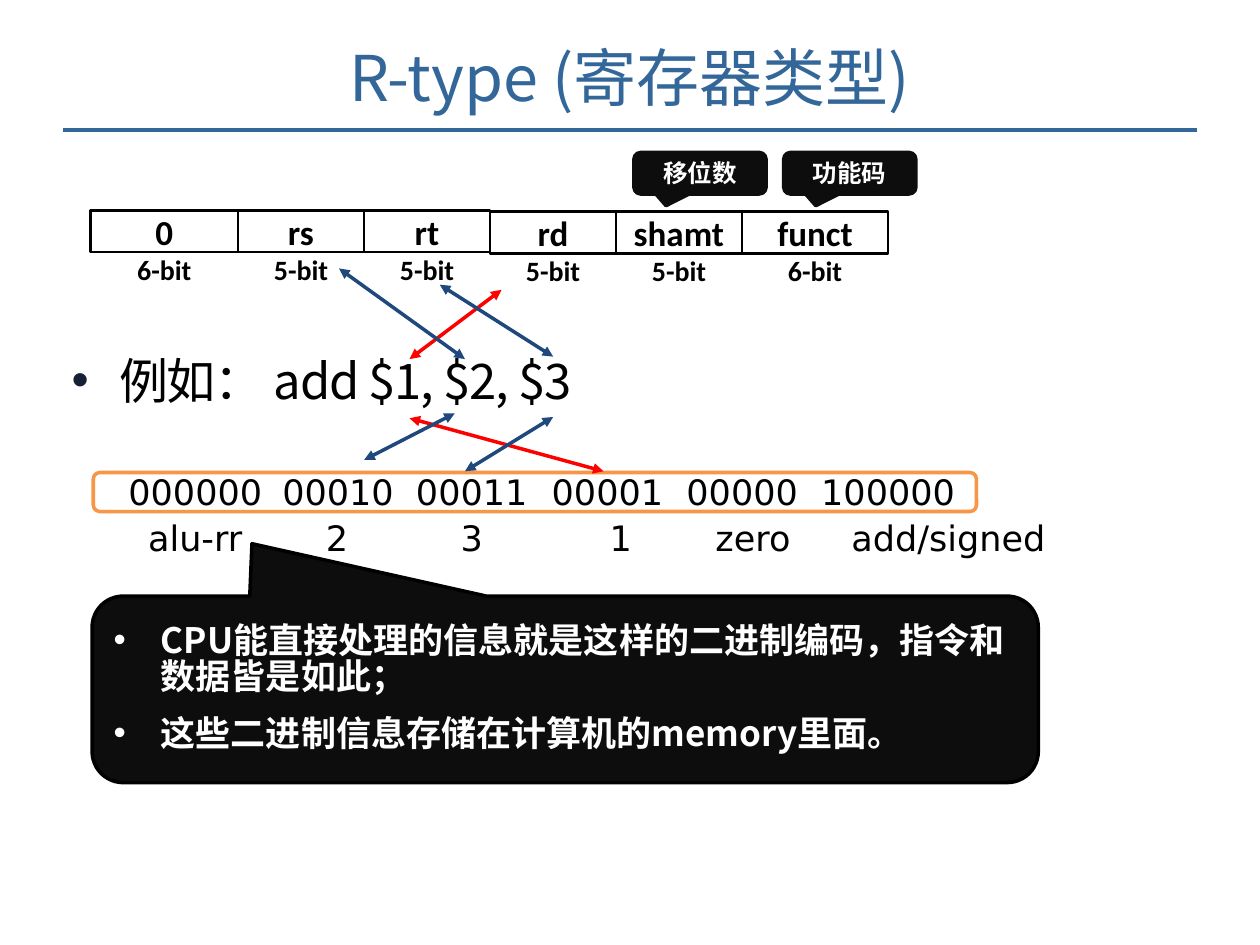
from itertools import accumulate

from lxml.etree import SubElement
from pptx import Presentation
from pptx.dml.color import RGBColor
from pptx.enum.shapes import MSO_CONNECTOR as Connector, MSO_SHAPE as Preset
from pptx.enum.text import MSO_ANCHOR as Anchor, MSO_AUTO_SIZE as AutoSize, PP_ALIGN as Align
from pptx.oxml.ns import qn
from pptx.util import Pt

CJK = "Noto Sans CJK SC"
BLUE, NAVY, RED, BLACK, WHITE = "336699", "1F497D", "FF0000", "000000", "FFFFFF"
DARK, ORANGE, BULLET = "0D0D0D", "F79646", "151F36"


def paint(target, color):
    if hasattr(target, "solid"):
        target.solid()
        target = target.fore_color
    target.rgb = RGBColor.from_string(color)


def apply(target, formats):
    for name, value in formats.items():
        setattr(target, name, value)


def margins(left, top, right, bottom):
    sides = zip(("left", "top", "right", "bottom"), (left, top, right, bottom))
    return {f"margin_{side}": Pt(size) for side, size in sides}


def place(box, left, top, width, height):
    apply(box, {"left": Pt(left), "top": Pt(top), "width": Pt(width), "height": Pt(height)})


def write(para, text, size, color, font=CJK, bold=False, spacing=None, **formats):
    apply(para, formats)
    span = para.add_run()
    span.text = text
    apply(span.font, {"size": Pt(size), "bold": bold, "name": font})
    paint(span.font.color, color)
    props = span._r.get_or_add_rPr()
    SubElement(props, qn("a:ea")).set("typeface", font)
    if spacing:
        props.set("spc", str(spacing))


def add_bullet(para, color, indent):
    props = para._p.get_or_add_pPr()
    props.set("marL", str(Pt(indent)))
    props.set("indent", str(-Pt(indent)))
    tint = SubElement(props, qn("a:buClr"))
    SubElement(tint, qn("a:srgbClr")).set("val", color)
    SubElement(props, qn("a:buFont")).set("typeface", "Arial")
    SubElement(props, qn("a:buChar")).set("char", "•")


def add_box(page, preset, bounds, line, width, fill=None, adjustments=()):
    box = page.shapes.add_shape(preset, *map(Pt, bounds))
    box.shadow.inherit = False
    if fill:
        paint(box.fill, fill)
    else:
        box.fill.background()
    paint(box.line.color, line)
    box.line.width = Pt(width)
    for index, value in enumerate(adjustments):
        box.adjustments[index] = value
    return box


def add_line(page, start, end, color, arrows=True):
    line = page.shapes.add_connector(Connector.STRAIGHT, *map(Pt, start + end))
    paint(line.line.color, color)
    line.line.width = Pt(2)
    if arrows:
        stroke = line.line._get_or_add_ln()
        for tag in ("a:headEnd", "a:tailEnd"):
            SubElement(stroke, qn(tag)).set("type", "triangle")
    SubElement(line._element.spPr, qn("a:effectLst"))


def add_field(page, left, top, width, name, bits):
    box = add_box(page, Preset.RECTANGLE, (left, top, width, 23.8), BLACK, 1.5, WHITE)
    frame = box.text_frame
    apply(frame, {"word_wrap": False, "vertical_anchor": Anchor.TOP, **margins(7.2, 0, 7.2, 3.6)})
    write(frame.paragraphs[0], name, 20, BLACK, "Calibri", True, alignment=Align.CENTER)
    write(frame.add_paragraph(), f"{bits}-bit", 16, BLACK, "Calibri", True, alignment=Align.CENTER)


def add_label(page, left, text):
    box = add_box(page, Preset.ROUNDED_RECTANGULAR_CALLOUT, (left, 87.1, 75.6, 23.8),
                  DARK, 2, DARK, (-0.257, 0.779, 0.167))
    write(box.text_frame.paragraphs[0], text, 14, WHITE, bold=True, alignment=Align.CENTER)


def add_encoding(page, widths, rows):
    frame = page.shapes.add_table(len(rows), len(widths), *map(Pt, (69.1, 270, sum(widths), 50.4)))
    table = frame.table
    apply(table, {"first_row": False, "horz_banding": False})
    for column, width in zip(table.columns, widths):
        column.width = Pt(width)
    for row, (inset, entries) in enumerate(rows):
        table.rows[row].height = Pt(25.2)
        for column, (text, indent) in enumerate(entries):
            cell = table.cell(row, column)
            cell.fill.background()
            apply(cell, margins(indent or 0, inset, 0, 0))
            align = Align.CENTER if indent is None else Align.LEFT
            write(cell.text_frame.paragraphs[0], text, 20, BLACK, "DejaVu Sans", alignment=align)


def add_note(page, lines):
    box = add_box(page, Preset.ROUNDED_RECTANGULAR_CALLOUT, (52.6, 340.6, 540.7, 106.6),
                  BLACK, 2, DARK, (-0.331, -0.781, 0.167))
    frame = box.text_frame
    frame.word_wrap = True
    for index, text in enumerate(lines):
        para = frame.add_paragraph() if index else frame.paragraphs[0]
        add_bullet(para, WHITE, 27)
        write(para, text, 20, WHITE, bold=True, alignment=Align.LEFT, line_spacing=0.85,
              space_before=Pt(6 if index else 0), space_after=Pt(6))


def fill_placeholders(page):
    title, body = page.placeholders
    place(title, 0, 16.6, 720, 54)
    apply(title.text_frame, {"vertical_anchor": Anchor.MIDDLE, **margins(0, 0, 0, 0)})
    write(title.text_frame.paragraphs[0], "R-type (寄存器类型)", 36, BLUE, alignment=Align.CENTER)
    place(body, 41, 205.2, 642.2, 33.8)
    apply(body.text_frame, {"auto_size": AutoSize.SHAPE_TO_FIT_TEXT, **margins(0, 0, 0, 0)})
    para = body.text_frame.paragraphs[0]
    add_bullet(para, BULLET, 27)
    write(para, "例如： add $1, $2, $3", 28, BLACK, spacing=-60, line_spacing=0.85,
          space_before=Pt(0), space_after=Pt(6))


def main():
    deck = Presentation()
    apply(deck, {"slide_width": Pt(720), "slide_height": Pt(540)})
    page = deck.slides.add_slide(deck.slide_layouts[1])
    fill_placeholders(page)
    add_line(page, (36, 74.2), (684, 74.2), BLUE, arrows=False)

    codes = [("000000", None), ("00010", 7.2), ("00011", None),
             ("00001", 7.2), ("00000", 7.2), ("100000", 7.2)]
    meanings = [("alu-rr", None), ("2", None), ("3", 5),
                ("1", 40.3), ("zero", 23.8), ("add/signed", 24.5)]
    meanings[2] = ("3", None)
    add_encoding(page, [85, 77, 77, 77, 77, 136.8], [(0, codes), (1.4, meanings)])
    add_box(page, Preset.ROUNDED_RECTANGLE, (53.3, 270, 504.7, 22.3), ORANGE, 2)
    add_note(page, ["CPU能直接处理的信息就是这样的二进制编码，指令和数据皆是如此；",
                    "这些二进制信息存储在计算机的memory里面。"])

    names = ["0", "rs", "rt", "rd", "shamt", "funct"]
    widths = [84.2, 72, 72, 72, 72, 83.5]
    lefts = accumulate(widths, initial=51.8)
    for index, (name, left, width) in enumerate(zip(names, lefts, widths)):
        top = 120.2 if index < 3 else 121
        add_field(page, left, top, width, name, 6 if index in (0, 5) else 5)

    for start, end, color in [
        ((234, 205.2), (286.6, 165.6), RED),
        ((344.9, 269.3), (234, 239), RED),
        ((193.7, 153.4), (265.7, 205.2), NAVY),
        ((251.3, 162.7), (316.1, 203.8), NAVY),
        ((259.9, 236.2), (208.1, 262.8), NAVY),
        ((316.1, 238.3), (265.7, 269.3), NAVY),
    ]:
        add_line(page, start, end, color)

    for left, text in [(362.2, "移位数"), (447.8, "功能码")]:
        add_label(page, left, text)
    deck.save("out.pptx")


if __name__ == "__main__":
    main()
